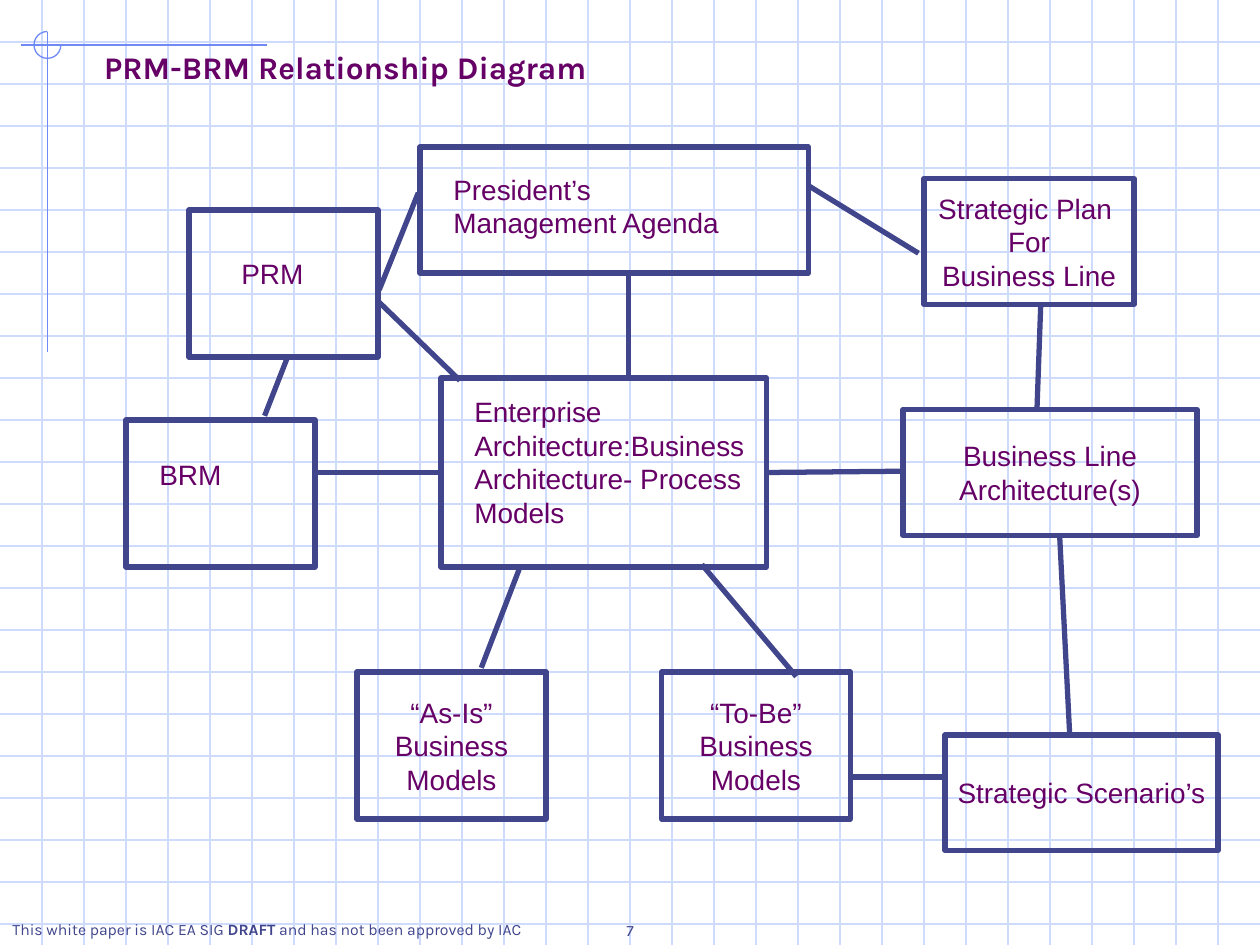
"""Builds the PRM-BRM relationship diagram slide."""
from lxml import etree
from pptx import Presentation
from pptx.dml.color import RGBColor
from pptx.enum.shapes import MSO_CONNECTOR, MSO_SHAPE
from pptx.enum.text import MSO_ANCHOR, MSO_AUTO_SIZE, PP_ALIGN
from pptx.oxml.ns import qn
from pptx.util import Inches, Pt

STRAIGHT = MSO_CONNECTOR.STRAIGHT
RECT, ARC = MSO_SHAPE.RECTANGLE, MSO_SHAPE.ARC
TOP, MIDDLE, BOTTOM = MSO_ANCHOR.TOP, MSO_ANCHOR.MIDDLE, MSO_ANCHOR.BOTTOM
LEFT, CENTER = PP_ALIGN.LEFT, PP_ALIGN.CENTER
NO_FIT = MSO_AUTO_SIZE.NONE

COLS, ROWS = 30, 22.5
NAVY, PURPLE, GRID, ACCENT = "40458C", "660066", "CFDBFD", "6F89F7"

BOXES = [
    (10, 3.5, 9.25, 3, []),
    (22.5, 17.5, 6.5, 2.75, ["Strategic Scenario’s"]),
    (22, 4.25, 5, 3, ["Strategic Plan ", "For", "Business Line"]),
    (21.5, 9.75, 7, 3, ["Business Line", "Architecture(s)"]),
    (3, 10, 4.5, 3.5, []),
    (10.5, 9, 7.75, 4.5, []),
    (8.5, 16, 4.5, 3.5, ["“As-Is”", "Business", "Models"]),
    (15.75, 16, 4.5, 3.5, ["“To-Be”", "Business", "Models"]),
    (4.5, 5, 4.5, 3.5, []),
]
LABELS = [
    (10.5, 3.95, 7.5, 1.92, "President’s Management Agenda"),
    (11, 9.25, 7.25, 3.5,
     "Enterprise Architecture:Business Architecture- Process Models"),
    (3.5, 10.75, 3.25, 1.1, "BRM"),
    (5.45, 5.95, 2.07, 1.1, "PRM"),
]
LINKS = [
    (7.5, 11.25, 10.5, 11.25),
    (18.25, 11.25, 21.5, 11.22),
    (11.46, 15.9, 12.36, 13.56),
    (14.97, 6.48, 14.97, 9),
    (20.25, 18.5, 22.5, 18.5),
    (16.71, 13.44, 18.96, 16.11),
    (24.69, 9.75, 24.78, 7.25),
    (6.3, 9.9, 6.84, 8.52),
    (9.03, 6.9, 9.96, 4.59),
    (10.95, 9.06, 8.97, 7.14),
    (21.87, 6.03, 19.23, 4.41),
    (25.23, 12.75, 25.47, 17.5),
]


def rgb(value):
    """Return a colour from its hex string."""
    return RGBColor.from_string(value)


def grid(*values):
    """Convert grid units to lengths."""
    return [Inches(v / 3) for v in values]


class Diagram:
    """Holds the style and the current slide."""

    font, size, color = "Arial", 16, PURPLE

    def __init__(self, s):
        """Keep the slide to draw on."""
        self.s = s

    def line(self, x1, y1, x2, y2, color=NAVY, width=3):
        """Draw a straight line without a shadow."""
        c = self.s.shapes.add_connector(STRAIGHT, *grid(x1, y1, x2, y2))
        c.line.color.rgb = rgb(color)
        c.line.width = Pt(width)
        etree.SubElement(c.element.spPr, qn("a:effectLst"))

    def outline(self, kind, x, y, w, h, color=NAVY, width=3):
        """Draw an unfilled preset shape."""
        sp = self.s.shapes.add_shape(kind, *grid(x, y, w, h))
        sp.shadow.inherit = False
        sp.fill.background()
        sp.line.color.rgb = rgb(color)
        sp.line.width = Pt(width)
        return sp

    def set_text(self, sp, lines, align=LEFT, anchor=TOP, wrap=True,
                 font=font, size=size, color=color, bold=False):
        """Fill a shape with paragraphs, each a list of (text, bold) or a string."""
        tf = sp.text_frame
        tf.auto_size = NO_FIT
        tf.word_wrap = wrap
        tf.vertical_anchor = anchor
        for i, line in enumerate(lines):
            p = tf.add_paragraph() if i else tf.paragraphs[0]
            p.alignment = align
            p.font.name, p.font.size = font, Pt(size)
            p.font.color.rgb = rgb(color)
            p.font.bold = bold
            for text, strong in [(line, bold)] if isinstance(line, str) else line:
                r = p.add_run()
                r.text = text
                if strong != bold:
                    r.font.bold = strong

    def box(self, x, y, w, h, lines):
        """Draw a node with optional centred text."""
        sp = self.outline(RECT, x, y, w, h)
        if lines:
            self.set_text(sp, lines, CENTER, MIDDLE, wrap=False)

    def label(self, x, y, w, h, line, **style):
        """Add a text box."""
        sp = self.s.shapes.add_textbox(*grid(x, y, w, h))
        self.set_text(sp, [line], **style)

    def title(self, x, y, w, h, text):
        """Place the title placeholder in front of the background."""
        sp = self.s.shapes.title
        sp.left, sp.top, sp.width, sp.height = grid(x, y, w, h)
        sp.text_frame.margin_left = Inches(0.16)
        self.set_text(sp, [text], font="Karla", size=18, bold=True)
        sp.element.getparent().append(sp.element)

    def background(self):
        """Draw the graph paper and the corner ornament."""
        for row in range(1, int(ROWS) + 1):
            self.line(0, row, COLS, row, GRID, 0.75)
        for col in range(1, COLS):
            self.line(col, 0, col, ROWS, GRID, 0.75)
        self.line(6.36, 1.07, 0.5, 1.07, ACCENT, 0.75)
        self.line(1.13, 0.75, 1.13, 8.37, ACCENT, 0.75)
        arc = self.outline(ARC, 0.81, 0.75, 0.64, 0.64, ACCENT, 0.75)
        arc.adjustments[0], arc.adjustments[1] = 0, 162


def main():
    """Build and save the slide."""
    prs = Presentation()
    prs.slide_width, prs.slide_height = grid(COLS, ROWS)
    d = Diagram(prs.slides.add_slide(prs.slide_layouts[5]))
    d.background()
    small = {"font": "Karla", "size": 9, "color": NAVY}
    d.label(0, 21.75, 13, 1.2, [("This white paper is IAC EA SIG", False),
                                (" DRAFT", True),
                                (" and has not been approved by IAC", False)], **small)
    d.title(2, 1, 26.25, 1.5, "PRM-BRM Relationship Diagram")
    for box in BOXES:
        d.box(*box)
    for link in LINKS:
        d.line(*link)
    for label in LABELS:
        d.label(*label)
    d.label(13.38, 21.03, 3.24, 1.5, "7", align=CENTER, anchor=BOTTOM, **small)
    prs.save("out.pptx")


if __name__ == "__main__":
    main()
